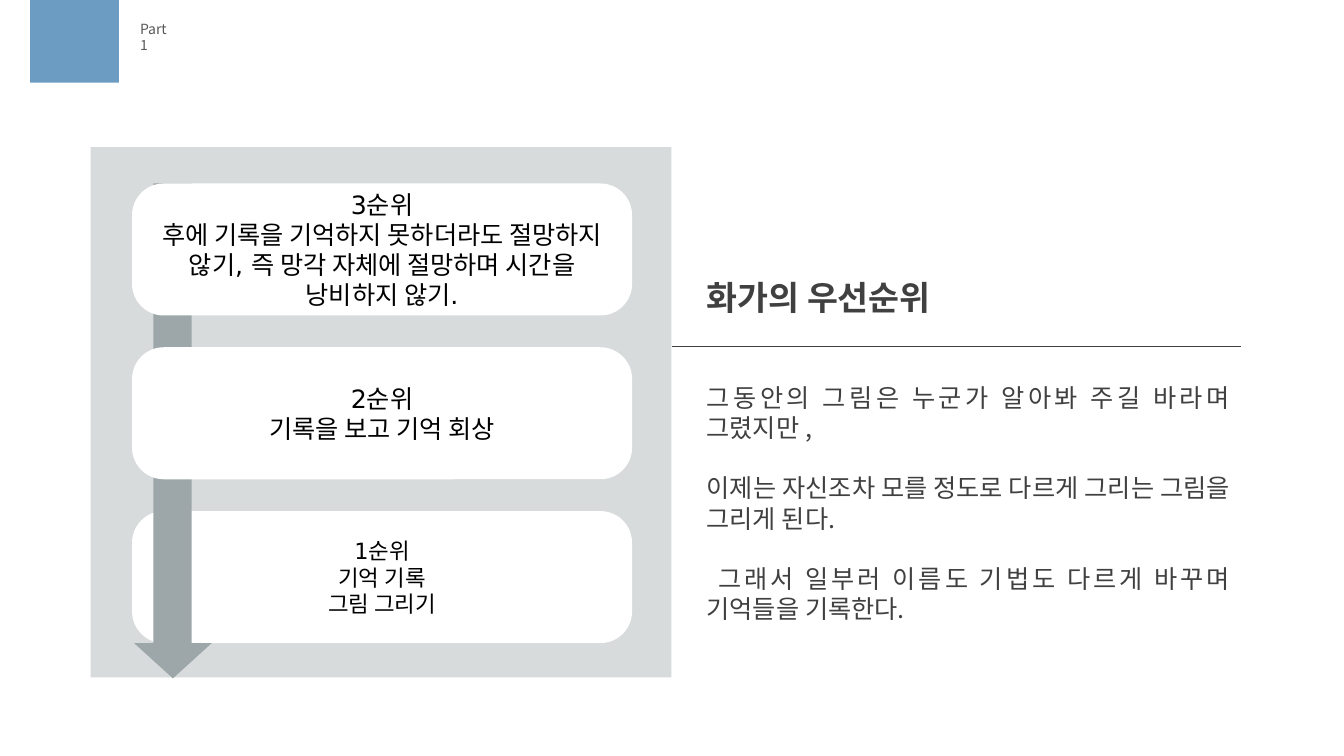
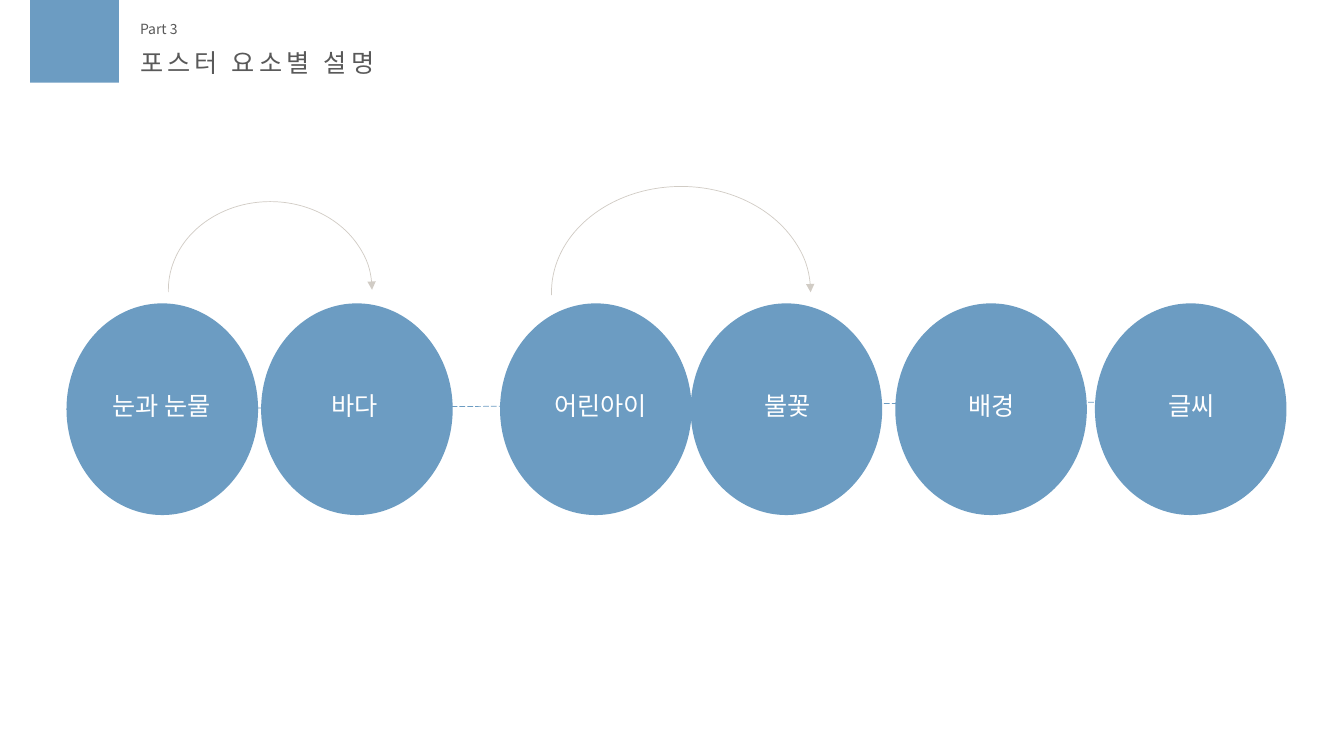
from lxml.etree import SubElement
from pptx import Presentation
from pptx.dml.color import RGBColor
from pptx.enum.dml import MSO_LINE
from pptx.enum.shapes import MSO_CONNECTOR, MSO_SHAPE
from pptx.enum.text import MSO_ANCHOR, PP_ALIGN
from pptx.oxml.ns import qn
from pptx.util import Inches, Pt

COLORS = {
    "blue": "6C9CC2", "panel": "D7DBDC", "arrow": "9DA7A9", "arc": "D1CCC5",
    "dark": "404040", "header": "595959", "white": "FFFFFF", "black": "000000",
}
FONT = "Noto Sans CJK KR"
CARD_FONT = "DejaVu Sans"
LINE_HEIGHT = 1.2  # line pitch as a multiple of the text size


def color(name):
    return RGBColor.from_string(COLORS[name])


def write_text(shape, lines, size, ink, font=FONT, align=PP_ALIGN.LEFT,
               anchor=MSO_ANCHOR.TOP, wrap=True, bold=False, tracking=0, gap=0):
    """Fill a shape with one paragraph per line."""
    frame = shape.text_frame
    frame.word_wrap = wrap
    frame.vertical_anchor = anchor
    formats = {"size": Pt(size), "name": font, "bold": bold}
    for index, line in enumerate(lines):
        paragraph = frame.paragraphs[0] if index == 0 else frame.add_paragraph()
        paragraph.alignment = align
        paragraph.line_spacing = Pt(size * LINE_HEIGHT)
        if index and gap:
            paragraph.space_before = Pt(gap)
        run = paragraph.add_run()
        run.text = line
        for name, value in formats.items():
            setattr(run.font, name, value)
        run.font.color.rgb = color(ink)
        properties = run.font._element
        SubElement(properties, qn("a:ea")).set("typeface", FONT)
        if tracking:
            properties.set("spc", str(tracking * 100))


def add_text(slide, box, lines, size, ink, **options):
    shape = slide.shapes.add_textbox(*map(Inches, box))
    write_text(shape, lines, size, ink, **options)


def add_block(shapes, kind, box, fill):
    """Add a filled preset shape without outline or shadow."""
    shape = shapes.add_shape(kind, *map(Inches, box))
    shape.shadow.inherit = False
    shape.fill.solid()
    shape.fill.fore_color.rgb = color(fill)
    shape.line.fill.background()
    return shape


def style_line(line, ink):
    line.color.rgb = color(ink)
    line.width = Pt(0.5)


def add_line(slide, start, end, ink, dash=None):
    connector = slide.shapes.add_connector(
        MSO_CONNECTOR.STRAIGHT, *map(Inches, (*start, *end)))
    style_line(connector.line, ink)
    if dash:
        connector.line.dash_style = dash
    SubElement(connector._element.spPr, qn("a:effectLst"))


def add_arc_arrow(slide, box):
    arc = add_block(slide.shapes, MSO_SHAPE.ARC, box, "white")
    arc.fill.background()
    arc.adjustments[0] = 107.24
    arc.adjustments[1] = 0
    style_line(arc.line, "arc")
    outline = arc.line._get_or_add_ln()
    SubElement(outline, qn("a:tailEnd")).set("type", "triangle")


def add_header(presentation, part, part_width, title=None):
    """Start a slide with the blue tab, part label and optional title."""
    slide = presentation.slides.add_slide(presentation.slide_layouts[6])
    add_block(slide.shapes, MSO_SHAPE.RECTANGLE, (0.3, 0, 0.88, 0.82), "blue")
    add_text(slide, (1.29, 0.15, part_width, 0.27), [part], 10, "header")
    if title:
        add_text(slide, (1.29, 0.42, 2.59, 0.4), [title], 18, "header",
                 wrap=False, tracking=3)
    return slide


def add_card(slide, top, lines, size):
    card = add_block(slide.shapes, MSO_SHAPE.ROUNDED_RECTANGLE,
                     (1.31, top, 4.96, 1.31), "white")
    card.adjustments[0] = 0.24
    write_text(card, lines, size, "black", font=CARD_FONT,
               align=PP_ALIGN.CENTER, anchor=MSO_ANCHOR.MIDDLE)


def add_down_arrow(slide):
    group = slide.shapes.add_group_shape()
    add_block(group.shapes, MSO_SHAPE.RECTANGLE, (1.52, 1.82, 0.38, 4.56), "arrow")
    head = add_block(group.shapes, MSO_SHAPE.ISOSCELES_TRIANGLE,
                     (1.33, 6.38, 0.77, 0.35), "arrow")
    head.rotation = 180


def build_priorities(presentation):
    slide = add_header(presentation, "Part 1", 0.55)

    # Ranked cards, with the arrow over the lowest one only
    add_block(slide.shapes, MSO_SHAPE.RECTANGLE, (0.9, 1.46, 5.76, 5.26), "panel")
    first_top, pitch = 1.82, 1.625
    add_card(slide, first_top + 2 * pitch, ["1순위", "기억 기록", "그림 그리기"], 16)
    add_down_arrow(slide)
    add_card(slide, first_top, [
        "3순위",
        "후에 기록을 기억하지 못하더라도 절망하지 않기, "
        "즉 망각 자체에 절망하며 시간을 낭비하지 않기.",
    ], 18)
    add_card(slide, first_top + pitch, ["2순위", "기록을 보고 기억 회상"], 18)

    # Heading and explanation
    add_line(slide, (6.67, 3.44), (12.31, 3.44), "dark")
    add_text(slide, (6.91, 2.7, 2.45, 0.5), ["화가의 우선순위"], 24, "dark",
             wrap=False, bold=True)
    add_text(slide, (6.91, 3.74, 5.39, 2.52), [
        "그동안의 그림은 누군가 알아봐 주길 바라며 그렸지만 ,",
        "이제는 자신조차 모를 정도로 다르게 그리는 그림을 그리게 된다.",
        " 그래서 일부러 이름도 기법도 다르게 바꾸며 기억들을 기록한다.",
    ], 18, "dark", align=PP_ALIGN.JUSTIFY, gap=18 * LINE_HEIGHT)


def build_poster_elements(presentation):
    slide = add_header(presentation, "Part 3", 0.58, "포스터 요소별 설명")
    add_line(slide, (0.66, 4.06), (12.25, 3.98), "blue", MSO_LINE.LONG_DASH)

    # Label, circle left, label left
    elements = [
        ("눈과 눈물", 0.66, 0.84), ("바다", 2.59, 2.75), ("어린아이", 4.96, 5.19),
        ("불꽃", 6.85, 7.05), ("배경", 8.88, 9.07), ("글씨", 10.86, 11.05),
    ]
    for label, circle_left, label_left in elements:
        add_block(slide.shapes, MSO_SHAPE.OVAL, (circle_left, 3.01, 1.9, 2.1), "blue")
        add_text(slide, (label_left, 3.82, 1.53, 0.4), [label], 18, "white",
                 align=PP_ALIGN.CENTER)

    # Arrows between related elements
    for box in [(1.67, 2, 2.02, 1.75), (5.47, 1.85, 2.57, 2.1)]:
        add_arc_arrow(slide, box)


def main():
    presentation = Presentation()
    presentation.slide_width = Inches(13.33)
    presentation.slide_height = Inches(7.5)
    build_priorities(presentation)
    build_poster_elements(presentation)
    presentation.save("out.pptx")


if __name__ == "__main__":
    main()
